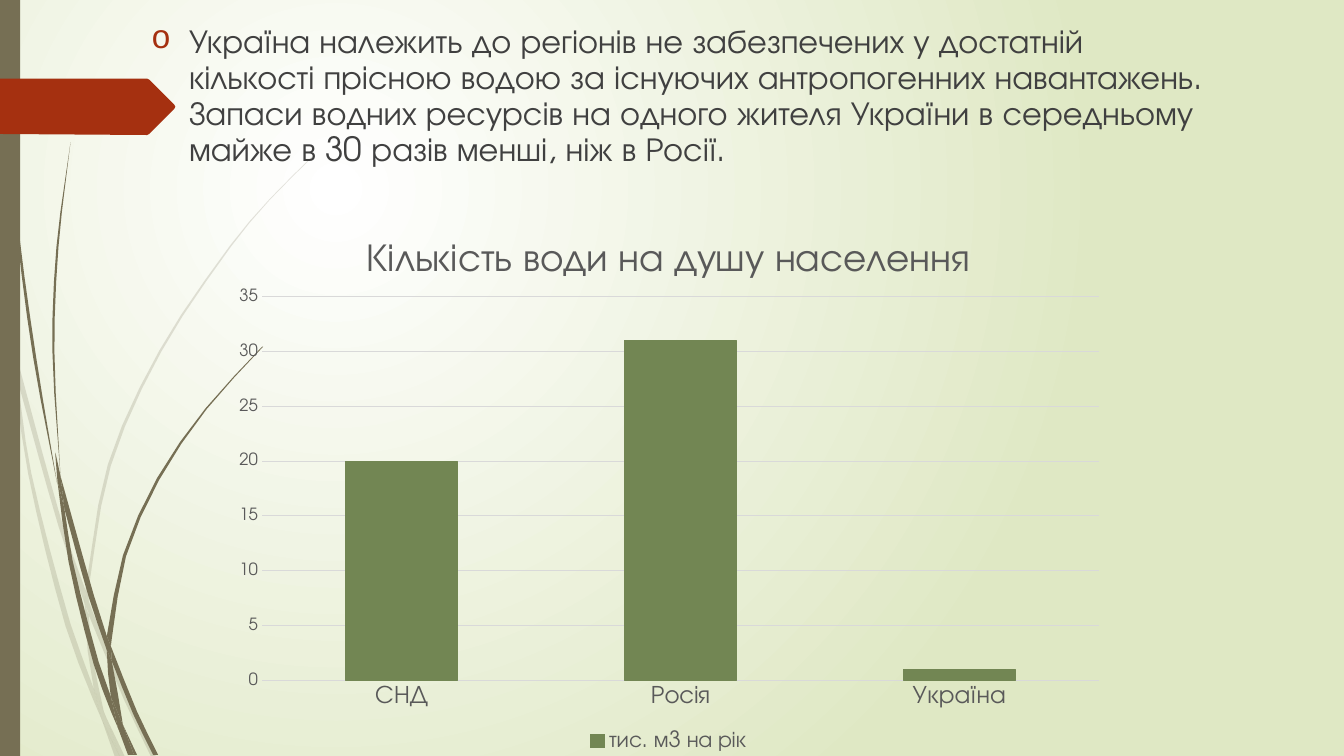
from math import ceil, dist

from lxml import etree
from pptx import Presentation
from pptx.chart.data import CategoryChartData
from pptx.dml.color import RGBColor
from pptx.enum.chart import XL_CHART_TYPE, XL_LEGEND_POSITION, XL_TICK_MARK
from pptx.enum.shapes import MSO_SHAPE
from pptx.enum.text import MSO_ANCHOR, MSO_AUTO_SIZE
from pptx.oxml import parse_xml
from pptx.oxml.ns import nsdecls, qn
from pptx.util import Pt

BODY = ("Україна належить до регіонів не забезпечених у достатній кількості прісною водою "
        "за існуючих антропогенних навантажень. Запаси водних ресурсів на одного жителя "
        "України в середньому майже в 30 разів менші, ніж в Росії.")
CHART_TITLE = "Кількість води на душу населення"
SERIES = "тис. м3 на рік"
WATER = {"СНД": 20, "Росія": 31, "Україна": 1}

FAINT_STEMS = [
    ([(0, 282), (9, 322), (11, 350)], [(0, 299), (10, 344), (11, 350)]),
    ([(14, 345), (62, 520), (85, 586)], [(17, 376), (58, 522), (84, 599)]),
    ([(88, 596), (92, 607), (127, 692), (155, 751)], [(88, 610), (123, 694), (150, 751)]),
    ([(105, 711), (124, 751)], [(105, 711), (119, 751)]),
    ([(11, 350), (17, 376), (31, 469), (70, 619), (93, 683), (101, 714)],
     [(11, 350), (28, 470), (65, 621), (92, 693), (101, 714)]),
    ([(84, 599), (88, 610), (91, 646), (103, 706), (105, 711)],
     [(84, 599), (87, 646), (93, 683), (105, 711)]),
    ([(88, 596), (88, 584), (110, 462), (160, 349), (229, 245), (268, 198), (312, 154)],
     [(85, 586), (85, 584), (107, 461), (158, 348), (228, 244), (268, 197), (312, 153)]),
    ([(101, 714), (119, 751)], [(101, 714), (114, 751)]),
    ([(85, 586), (88, 596), (88, 610)], [(84, 599), (88, 608)]),
    ([(93, 683), (105, 711), (119, 751)], [(93, 683), (101, 714), (119, 751)]),
]
DARK_STEMS = [
    ([(3, 0), (7, 110), (17, 233), (33, 355), (57, 481)],
     [(4, 0), (8, 109), (19, 232), (36, 355), (57, 481)]),
    ([(60, 472), (93, 590), (106, 631)], [(64, 505), (88, 592), (106, 645)]),
    ([(110, 641), (136, 706), (157, 749)], [(111, 656), (132, 708), (152, 749)]),
    ([(57, 477), (64, 505), (72, 556), (98, 657), (110, 691), (117, 722)],
     [(57, 477), (68, 557), (93, 659), (111, 708), (117, 722)]),
    ([(70, 141), (58, 245), (54, 349), (60, 472)], [(70, 141), (56, 245), (52, 349), (60, 472)]),
    ([(122, 719), (136, 749)], [(122, 719), (133, 749)]),
    ([(55, 449), (60, 472), (64, 505)], [(55, 453), (57, 477), (64, 505)]),
    ([(110, 641), (111, 633), (125, 552), (158, 476), (205, 406), (261, 344)],
     [(106, 631), (122, 551), (156, 474), (204, 405), (260, 344)]),
    ([(117, 722), (131, 749)], [(117, 722), (127, 749)]),
    ([(106, 645), (111, 656), (122, 719)], [(106, 645), (110, 691), (122, 719)]),
    ([(106, 631), (110, 641), (111, 656)], [(106, 633), (106, 645), (111, 656)]),
    ([(110, 691), (122, 719), (133, 749)], [(110, 691), (117, 722), (130, 749)]),
]
ARROW = [(0, 78), (146, 78), (148, 79), (173, 104), (174, 106), (173, 108),
         (148, 133), (146, 134), (0, 133)]
GRID = 0.72
STRIDE = 45
PLOT = {"x": 0.046, "y": 0.15, "w": 0.934, "h": 0.71}

FONT = "TeX Gyre Adventor"
WHITE = RGBColor(0xFF, 0xFF, 0xFF)
LIME = RGBColor(0xDF, 0xE8, 0xC4)
OLIVE = RGBColor(0x76, 0x6F, 0x54)
RUST = RGBColor(0xA5, 0x30, 0x10)
GREEN = RGBColor(0x72, 0x86, 0x53)
INK = RGBColor(0x40, 0x40, 0x40)
GREY = RGBColor(0x59, 0x59, 0x59)
RULE = RGBColor(0xD9, 0xD9, 0xD9)
NO_TICK = XL_TICK_MARK.NONE


def put(obj, values):
    for name, value in values.items():
        setattr(obj, name, value)


def set_font(font, size, color):
    put(font, {"name": FONT, "size": Pt(size), "bold": False})
    font.color.rgb = color


def paint(sp, color, alpha=None):
    sp.shadow.inherit = False
    sp.fill.solid()
    sp.fill.fore_color.rgb = color
    sp.line.fill.background()
    if alpha:
        clr = sp._element.spPr.find(qn("a:solidFill"))[0]
        etree.SubElement(clr, qn("a:alpha")).set("val", str(alpha * 1000))


def smooth(edge):
    last = len(edge) - 1
    slopes = []
    for i in range(last + 1):
        near = edge[max(i - 1, 0):i + 2]
        span = sum(dist(a, b) for a, b in zip(near, near[1:]))
        slopes.append([(b - a) / span for a, b in zip(near[0], near[-1])])
    out = [edge[0]]
    for i in range(last):
        h = dist(edge[i], edge[i + 1])
        steps = ceil(h / STRIDE) if last > 1 else 1
        for k in range(1, steps + 1):
            t = k / steps
            out.append(tuple(
                (2 * t**3 - 3 * t**2 + 1) * edge[i][d] + (3 * t**2 - 2 * t**3) * edge[i + 1][d]
                + h * ((t**3 - 2 * t**2 + t) * slopes[i][d] + (t**3 - t**2) * slopes[i + 1][d])
                for d in (0, 1)))
    return out


def outline(s, points, color, alpha=None):
    pts = [(Pt(x * GRID), Pt(y * GRID)) for x, y in points]
    fb = s.shapes.build_freeform(*pts[0], scale=1.0)
    fb.add_line_segments(pts[1:], close=True)
    paint(fb.convert_to_shape(), color, alpha)


def add_background(s):
    fill = s.background.fill
    fill.gradient()
    for stop, color, pos in zip(fill.gradient_stops, (WHITE, LIME), (0, 1)):
        stop.color.rgb = color
        stop.position = pos
    grad = s._element.find(".//" + qn("a:gradFill"))
    lin = grad.find(qn("a:lin"))
    grad.replace(lin, parse_xml(
        f'<a:path {nsdecls("a")} path="circle">'
        '<a:fillToRect l="50000" t="50000" r="100000" b="100000"/></a:path>'))


def add_decor(s):
    for stems, alpha in ((FAINT_STEMS, 20), (DARK_STEMS, None)):
        for left, right in stems:
            outline(s, smooth(left) + smooth(right)[::-1], OLIVE, alpha)
    paint(s.shapes.add_shape(MSO_SHAPE.RECTANGLE, 0, 0, Pt(14.4), Pt(540)), OLIVE)
    outline(s, ARROW, RUST)


def add_body(s):
    sp = s.placeholders[1]
    s.shapes._spTree.append(sp._element)
    put(sp, {"left": Pt(100.8), "top": Pt(13.7), "width": Pt(767.5), "height": Pt(110.9)})
    tf = sp.text_frame
    put(tf, {"word_wrap": True, "auto_size": MSO_AUTO_SIZE.NONE, "vertical_anchor": MSO_ANCHOR.TOP})
    p = tf.paragraphs[0]
    put(p, {"line_spacing": 0.9, "space_before": Pt(10)})
    r = p.add_run()
    r.text = BODY
    set_font(r.font, 23.8, INK)
    pPr = p._p.get_or_add_pPr()
    pPr.set("marL", str(Pt(27)))
    pPr.set("indent", str(-Pt(27)))
    for xml in (f'<a:buClr {nsdecls("a")}><a:srgbClr val="{RUST}"/></a:buClr>',
                f'<a:buFont {nsdecls("a")} typeface="Courier New"/>',
                f'<a:buChar {nsdecls("a")} char="o"/>'):
        pPr.append(parse_xml(xml))


def add_water_chart(s):
    data = CategoryChartData()
    data.categories = list(WATER)
    data.add_series(SERIES, list(WATER.values()))
    chart = s.shapes.add_chart(XL_CHART_TYPE.COLUMN_STACKED, Pt(157.7), Pt(154.1),
                               Pt(640), Pt(385.9), data).chart
    set_font(chart.font, 10, GREY)
    put(chart, {"has_title": True, "has_legend": True})
    r = chart.chart_title.text_frame.paragraphs[0].add_run()
    r.text = CHART_TITLE
    set_font(r.font, 28, GREY)
    put(chart.legend, {"position": XL_LEGEND_POSITION.BOTTOM, "include_in_layout": False})
    set_font(chart.legend.font, 16, GREY)
    plot = chart.plots[0]
    put(plot, {"gap_width": 150, "overlap": 100, "vary_by_categories": False})
    fmt = plot.series[0].format
    fmt.fill.solid()
    fmt.fill.fore_color.rgb = GREEN
    fmt.line.color.rgb = GREEN
    fmt.line.width = Pt(0.75)
    for axis, size in ((chart.category_axis, 18), (chart.value_axis, 12)):
        put(axis, {"major_tick_mark": NO_TICK, "minor_tick_mark": NO_TICK})
        axis.format.line.fill.background()
        set_font(axis.tick_labels.font, size, GREY)
    put(chart.value_axis, {"minimum_scale": 0, "maximum_scale": 35, "major_unit": 5})
    rule = chart.value_axis.major_gridlines.format.line
    rule.color.rgb = RULE
    rule.width = Pt(0.75)
    space = chart._chartSpace
    space.find(qn("c:txPr")).addprevious(
        parse_xml(f'<c:spPr {nsdecls("c", "a")}><a:noFill/><a:ln><a:noFill/></a:ln></c:spPr>'))
    area = space.chart.plotArea
    for old in area.findall(qn("c:layout")):
        area.remove(old)
    sizes = "".join(f'<c:{k} val="{v}"/>' for k, v in PLOT.items())
    area.insert(0, parse_xml(
        f'<c:layout {nsdecls("c")}><c:manualLayout><c:layoutTarget val="inner"/>'
        f'<c:xMode val="edge"/><c:yMode val="edge"/>{sizes}</c:manualLayout></c:layout>'))


def main():
    prs = Presentation()
    put(prs, {"slide_width": Pt(960), "slide_height": Pt(540)})
    s = prs.slides.add_slide(prs.slide_layouts[1])
    title = s.shapes.title._element
    title.getparent().remove(title)
    add_background(s)
    add_decor(s)
    add_body(s)
    add_water_chart(s)
    prs.save("out.pptx")


if __name__ == "__main__":
    main()
